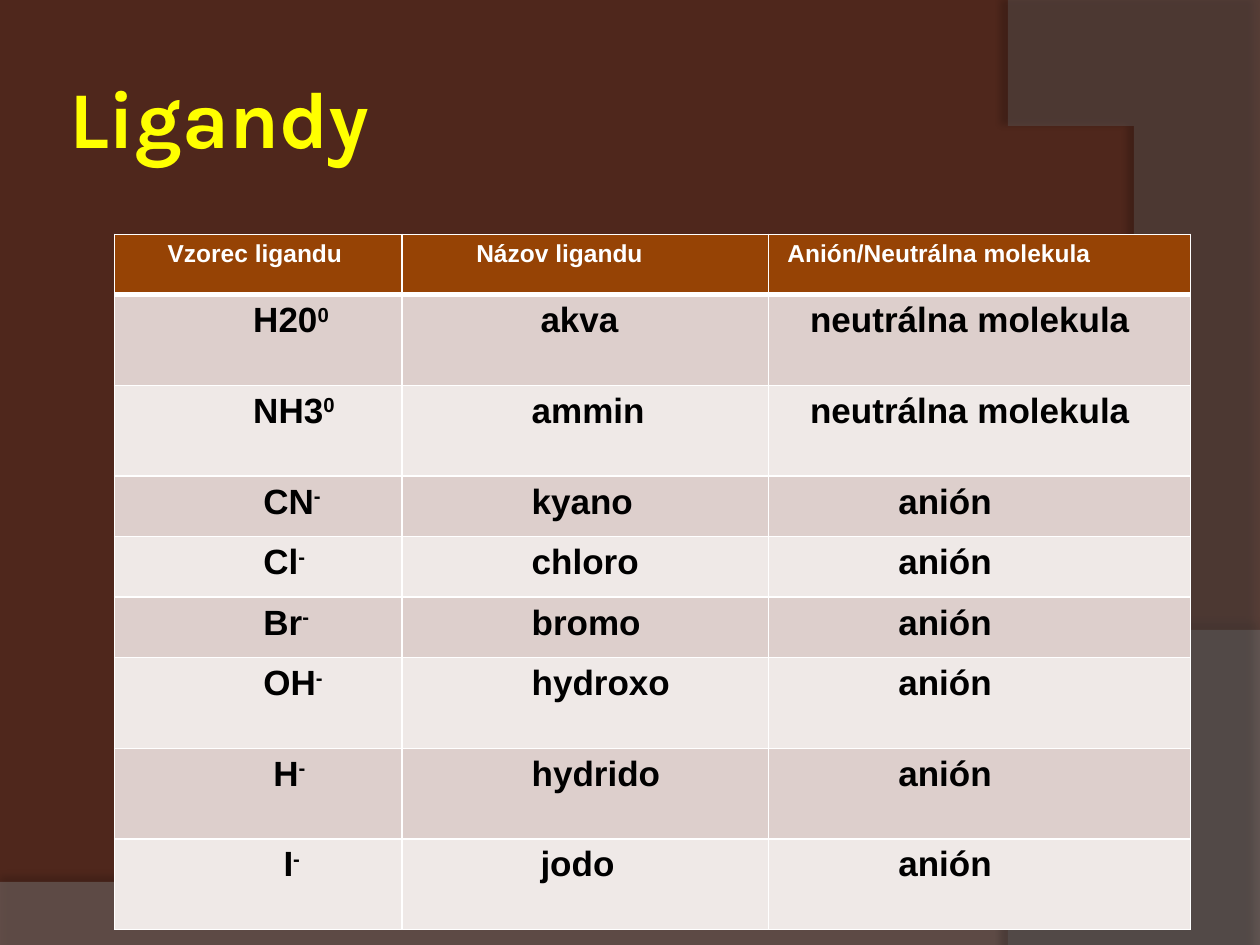
import pptx
import pptx.dml.color
import pptx.enum.text
import pptx.oxml
import pptx.oxml.ns
import pptx.util
from pptx.util import Inches

TITLE = "Ligandy"

# Each entry: text, superscript, indent in widths of a space
HEADER = [("Vzorec ligandu", "", 6), ("Názov ligandu", "", 9),
          ("Anión/Neutrálna molekula", "", 1)]
NEUTRAL = ("neutrálna molekula", "", 3)
ANION = ("anión", "", 12)
LIGANDS = [
    [("H20", "0", 13), ("akva", "", 13), NEUTRAL],
    [("NH3", "0", 13), ("ammin", "", 12), NEUTRAL],
    [("CN", "-", 14), ("kyano", "", 12), ANION],
    [("Cl", "-", 14), ("chloro", "", 12), ANION],
    [("Br", "-", 14), ("bromo", "", 12), ANION],
    [("OH", "-", 14), ("hydroxo", "", 12), ANION],
    [("H", "-", 15), ("hydrido", "", 12), ANION],
    [("I", "-", 16), ("jodo", "", 13), ANION],
]
COLUMN_WIDTHS = [2.28, 2.91, 3.35]
LOW, TALL = 0.48, 0.72
ROW_HEIGHTS = [LOW, TALL, TALL, LOW, LOW, LOW, TALL, TALL, TALL]
SPACE_WIDTH = 0.278  # of the type size

# Corners before and after one Bézier curve, whose four points are "curve"
WAVES = [
    dict(before=[(0, 7.5), (10, 7.5)],
         curve=[(10, 5.2), (5.59, 7.29), (3.91, 7.19), (0, 7.05)],
         after=[], fill="7F7F7F", alpha=45,
         shadow=dict(alpha=35, blur=4, distance=3.5, angle=270)),
    dict(before=[(10, 0.02), (10, 7.5)],
         curve=[(8.21, 7.5), (9.35, 6.19), (10.18, 3), (8, 0)],
         after=[], fill="5E5E5E", alpha=40,
         shadow=dict(alpha=45, blur=4, distance=4, angle=180)),
]

THEME = dict(background="4F271C", title="FFFF00", header="964305",
             header_text="FFFFFF", text="000000", bands=["DDCFCC", "EFE9E7"],
             border="FFFFFF", shadow="000000", title_font="Karla",
             table_font="Arial", title_size=46, header_size=14, body_size=20)


def rgb(code):
    return pptx.dml.color.RGBColor.from_string(code)


def xml(markup):
    """Parse one drawing element, given without its namespace declaration."""
    name, rest = markup.split(" ", 1)
    return pptx.oxml.parse_xml(f'{name} {pptx.oxml.ns.nsdecls("a")} {rest}')


def write(para, text, *, font, size, color, superscript=False):
    span = para.add_run()
    span.text = text
    span.font.name = font
    span.font.size = pptx.util.Pt(size)
    span.font.bold = True
    span.font.color.rgb = rgb(color)
    if superscript:
        span.font._element.set("baseline", "30000")


def curve_points(points, steps=60):
    a, b, c, d = points
    for step in range(steps + 1):
        t = step / steps
        u = 1 - t
        yield tuple(u**3 * a[i] + 3 * u * u * t * b[i] + 3 * u * t * t * c[i]
                    + t**3 * d[i] for i in (0, 1))


def add_wave(page, before, curve, after, fill, alpha, shadow):
    points = [*before, *curve_points(curve), *after]
    builder = page.shapes.build_freeform(*points[0], scale=Inches(1))
    builder.add_line_segments(points[1:], close=True)
    wave = builder.convert_to_shape()
    wave.shadow.inherit = False
    wave.line.fill.background()
    wave.fill.solid()
    wave.fill.fore_color.rgb = rgb(fill)
    properties = wave.element.spPr
    color = properties.find(".//" + pptx.oxml.ns.qn("a:srgbClr"))
    color.append(xml(f'<a:alpha val="{alpha * 1000}"/>'))
    effects = properties.find(pptx.oxml.ns.qn("a:effectLst"))
    effects.append(xml(
        f'<a:outerShdw blurRad="{pptx.util.Pt(shadow["blur"])}" '
        f'dist="{pptx.util.Pt(shadow["distance"])}" '
        f'dir="{shadow["angle"] * 60000}" algn="ctr" rotWithShape="0">'
        f'<a:srgbClr val="{THEME["shadow"]}">'
        f'<a:alpha val="{shadow["alpha"] * 1000}"/></a:srgbClr></a:outerShdw>'))
    return wave


def set_borders(cell, top=1, bottom=1):
    properties = cell._tc.get_or_add_tcPr()
    widths = dict(L=1, R=1, T=top, B=bottom)
    for place, (side, width) in enumerate(widths.items()):
        properties.insert(place, xml(
            f'<a:ln{side} w="{pptx.util.Pt(width)}"><a:solidFill>'
            f'<a:srgbClr val="{THEME["border"]}"/></a:solidFill></a:ln{side}>'))


def fill_cell(cell, content, fill, size, color):
    text, superscript, indent = content
    cell.fill.solid()
    cell.fill.fore_color.rgb = rgb(fill)
    para = cell.text_frame.paragraphs[0]
    margin = Inches(round(indent * SPACE_WIDTH * size / 72, 2))
    para._p.get_or_add_pPr().set("marL", str(margin))
    style = dict(font=THEME["table_font"], size=size, color=color)
    write(para, text, **style)
    if superscript:
        write(para, superscript, superscript=True, **style)


def add_ligand_table(page):
    rows = [HEADER, *LIGANDS]
    table = page.shapes.add_table(
        len(rows), len(COLUMN_WIDTHS), Inches(0.91), Inches(1.86),
        Inches(sum(COLUMN_WIDTHS)), Inches(sum(ROW_HEIGHTS))).table
    table.horz_banding = False
    for column, width in zip(table.columns, COLUMN_WIDTHS):
        column.width = Inches(width)
    for i, (row, contents) in enumerate(zip(table.rows, rows)):
        row.height = Inches(ROW_HEIGHTS[i])
        if i == 0:
            look = (THEME["header"], THEME["header_size"], THEME["header_text"])
        else:
            look = (THEME["bands"][(i - 1) % 2], THEME["body_size"], THEME["text"])
        for cell, content in zip(row.cells, contents):
            fill_cell(cell, content, *look)
            set_borders(cell, top=3 if i == 1 else 1, bottom=3 if i == 0 else 1)


def format_title(title):
    title.left, title.top = Inches(0.5), Inches(0.3)
    title.width, title.height = Inches(8.17), Inches(1.25)
    frame = title.text_frame
    frame.word_wrap = True
    frame.vertical_anchor = pptx.enum.text.MSO_ANCHOR.MIDDLE
    frame.margin_left = frame.margin_right = Inches(0.05)
    frame.margin_top = frame.margin_bottom = Inches(0.05)
    para = frame.paragraphs[0]
    para.alignment = pptx.enum.text.PP_ALIGN.LEFT
    write(para, TITLE, font=THEME["title_font"], size=THEME["title_size"],
          color=THEME["title"])


def main():
    deck = pptx.Presentation()
    deck.slide_width, deck.slide_height = Inches(10), Inches(7.5)
    page = deck.slides.add_slide(deck.slide_layouts[5])
    page.background.fill.solid()
    page.background.fill.fore_color.rgb = rgb(THEME["background"])
    title = page.shapes.title
    format_title(title)
    for wave in WAVES:
        title.element.addprevious(add_wave(page, **wave).element)
    add_ligand_table(page)
    deck.save("out.pptx")


if __name__ == "__main__":
    main()
